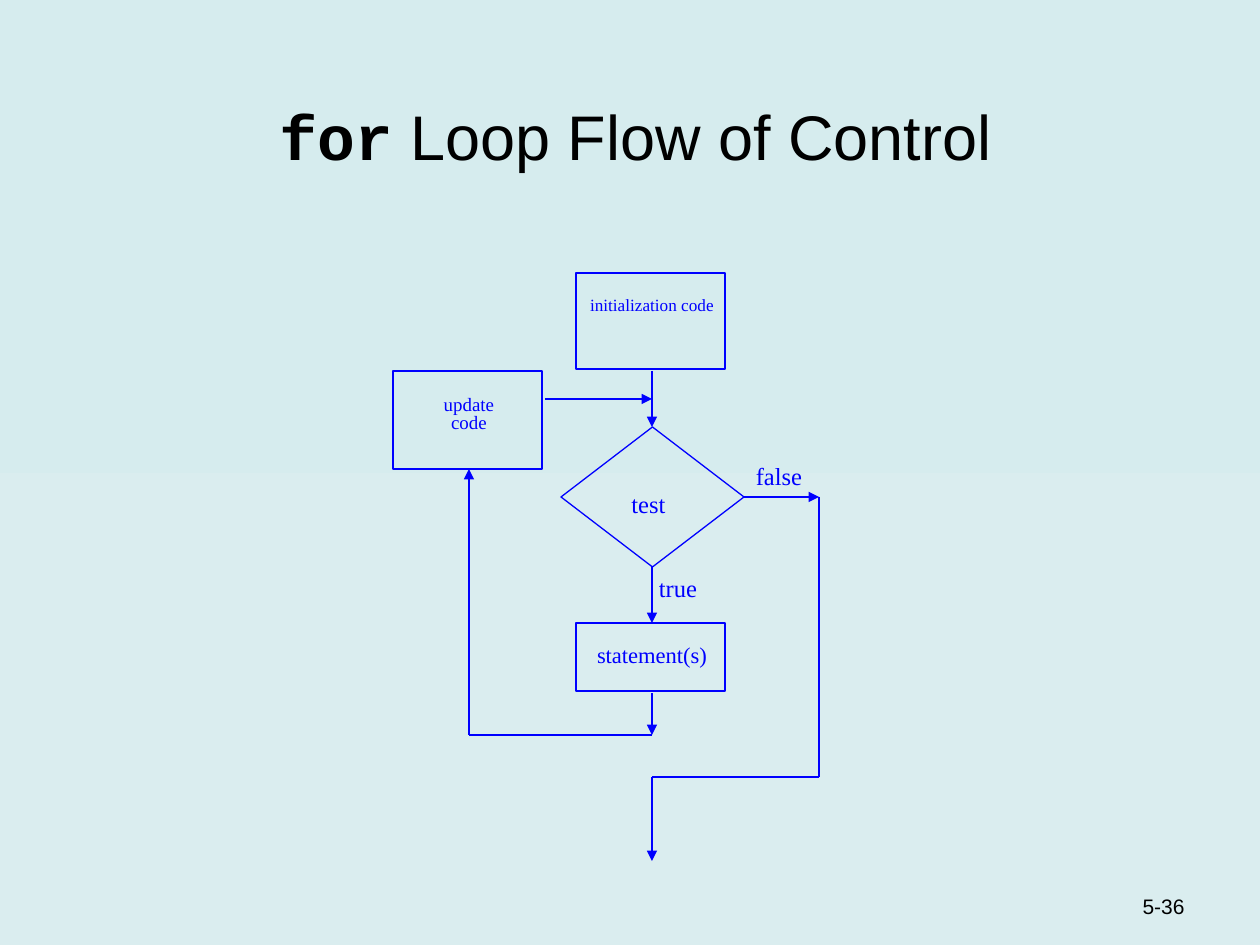
from dataclasses import dataclass
from typing import Any

from lxml import etree
from pptx import Presentation
from pptx.dml.color import RGBColor
from pptx.enum.shapes import MSO_CONNECTOR, MSO_SHAPE
from pptx.enum.text import MSO_ANCHOR, PP_ALIGN
from pptx.oxml.ns import qn
from pptx.util import Pt

EMU_PER_PX = 914400 / 126
COLORS = {"ink": "000000", "flow": "0000FF", "bottom": "DAEDEF", "top": "D6ECEE"}
STRAIGHT = MSO_CONNECTOR.STRAIGHT
RECTANGLE, DECISION = MSO_SHAPE.RECTANGLE, MSO_SHAPE.FLOWCHART_DECISION
TOP, BOTTOM = MSO_ANCHOR.TOP, MSO_ANCHOR.BOTTOM
CENTER, RIGHT = PP_ALIGN.CENTER, PP_ALIGN.RIGHT


def px(*lengths):
    return [round(length * EMU_PER_PX) for length in lengths]


def color(name):
    return RGBColor.from_string(COLORS[name])


@dataclass
class FlowPage:
    """Draws the parts of a flow chart on one slide in a shared style."""

    page: Any
    line_width: float = 0.75
    label_font: str = "Times New Roman"
    head_font: str = "Arial"
    code_font: str = "Courier New"

    def background(self):
        fill = self.page.background.fill
        fill.gradient()
        fill.gradient_angle = 90
        for stop, name in zip(fill.gradient_stops, ("bottom", "top")):
            stop.color.rgb = color(name)

    def title(self, code, words, bounds):
        box = self.page.shapes.title
        box.left, box.top, box.width, box.height = px(*bounds)
        box.text_frame.vertical_anchor = BOTTOM
        para = box.text_frame.paragraphs[0]
        para.alignment = CENTER
        for text, name, bold in ((code, self.code_font, True), (words, self.head_font, False)):
            span = para.add_run()
            span.text = text
            span.font.name, span.font.bold, span.font.size = name, bold, Pt(36)
            span.font.color.rgb = color("ink")

    def label(self, text, bounds, size, spacing=1.0, font=None, ink="flow",
              align=CENTER, anchor=TOP):
        frame = self.page.shapes.add_textbox(*px(*bounds)).text_frame
        frame.word_wrap = True
        frame.vertical_anchor = anchor
        frame.text = text
        for para in frame.paragraphs:
            para.alignment = align
            para.line_spacing = spacing
            para.font.name = font or self.label_font
            para.font.size = Pt(size)
            para.font.color.rgb = color(ink)

    def outline(self, kind, bounds):
        shape = self.page.shapes.add_shape(kind, *px(*bounds))
        shape.shadow.inherit = False
        shape.fill.background()
        shape.line.color.rgb = color("flow")
        shape.line.width = Pt(self.line_width)

    def line(self, start, end, arrow=True):
        connector = self.page.shapes.add_connector(STRAIGHT, *px(*start, *end))
        connector.line.color.rgb = color("flow")
        connector.line.width = Pt(self.line_width)
        if arrow:
            outline = connector.line._get_or_add_ln()
            etree.SubElement(outline, qn("a:tailEnd"), type="triangle")
        etree.SubElement(connector._element.spPr, qn("a:effectLst"))


def main():
    deck = Presentation()
    deck.slide_width, deck.slide_height = px(1260, 945)
    flow = FlowPage(deck.slides.add_slide(deck.slide_layouts[5]))
    flow.background()
    flow.title("for", " Loop Flow of Control", (42, 42, 1187, 137))

    spine, update_x, exit_x = 652, 469, 819
    test_y, loop_y, exit_y = 497, 735, 777

    for kind, bounds in (
        (RECTANGLE, (576, 273, 149, 96)),
        (RECTANGLE, (393, 371, 149, 98)),
        (DECISION, (561, 427, 183, 140)),
        (RECTANGLE, (576, 623, 149, 68)),
    ):
        flow.outline(kind, bounds)

    for top, bottom in ((371, 427), (567, 623), (693, loop_y), (exit_y, 861)):
        flow.line((spine, top), (spine, bottom))
    flow.line((545, 399), (spine, 399))
    flow.line((744, test_y), (exit_x, test_y))
    flow.line((exit_x, test_y), (exit_x, exit_y), arrow=False)
    flow.line((exit_x, exit_y), (spine, exit_y), arrow=False)
    flow.line((spine, loop_y), (update_x, loop_y), arrow=False)
    flow.line((update_x, loop_y), (update_x, 469))

    flow.label("initialization code", (576, 292, 152, 59), 9.8, 0.8)
    flow.label("update\ncode", (393, 391, 152, 60), 10.8, 0.8)
    flow.label("test", (591, 483, 115, 48), 14)
    flow.label("false", (728, 455, 102, 49), 14)
    flow.label("true", (627, 567, 102, 49), 14)
    flow.label("statement(s)", (576, 638, 152, 43), 12.9, 0.9)
    flow.label("5-36", (935, 862, 262, 63), 12, font=flow.head_font, ink="ink",
               align=RIGHT, anchor=BOTTOM)
    deck.save("out.pptx")


if __name__ == "__main__":
    main()
